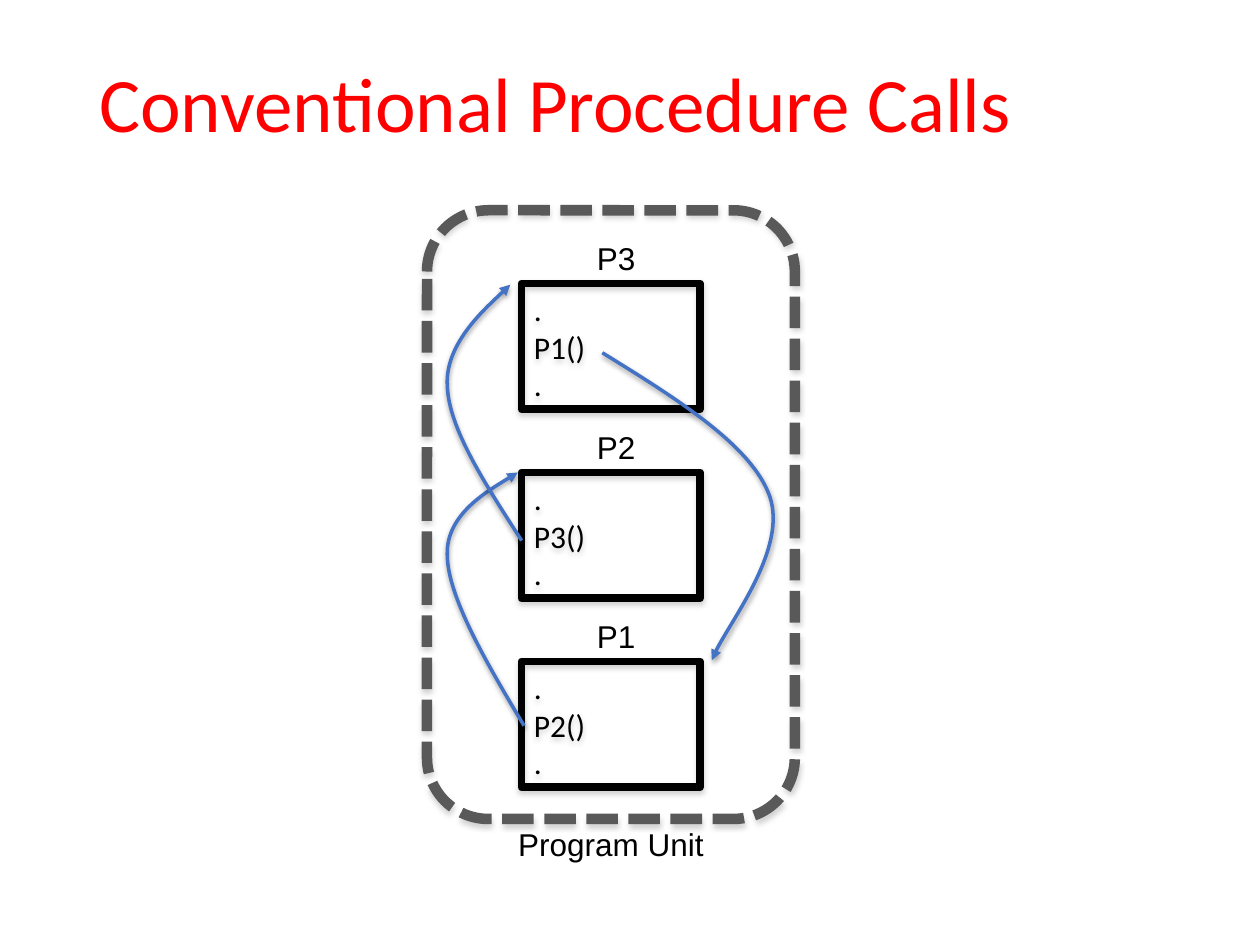
from dataclasses import dataclass

from lxml.etree import SubElement
from pptx import Presentation
from pptx.dml.color import RGBColor
from pptx.enum.dml import MSO_LINE
from pptx.enum.shapes import MSO_SHAPE
from pptx.enum.text import MSO_ANCHOR, MSO_AUTO_SIZE, PP_ALIGN
from pptx.oxml.ns import qn
from pptx.util import Pt

COLORS = {
    "title": "FF0000",
    "text": "000000",
    "unit": "595959",
    "box": "000000",
    "call": "4472C4",
    "box_shadow": "808080",
    "call_shadow": "000000",
}
BOX_LEFT, BOX_TOP, BOX_WIDTH, BOX_HEIGHT, BOX_PITCH = 298, 162, 102, 72, 108
LABEL_LEFT, LABEL_WIDTH, LABEL_HEIGHT = 334, 36.7, 28.8
UNIT_LEFT, UNIT_TOP, UNIT_WIDTH, UNIT_HEIGHT = 244, 120.2, 210.2, 347.8


@dataclass
class Procedure:
    name: str
    callee: str


@dataclass
class Shadow:
    color: str
    opacity: int
    distance: float


PROCEDURES = [Procedure("P3", "P1"), Procedure("P2", "P3"), Procedure("P1", "P2")]
BOX_SHADOW = Shadow("box_shadow", 35, 1.8)
CALL_SHADOW = Shadow("call_shadow", 38, 1.6)

# Each call: a start point, then two Bézier segments of three points
CALLS = [
    [(299.5, 414.7), (277.9, 378.7), (255.6, 340.6), (255.6, 316.8),
     (254.9, 293), (295.9, 270), (295.9, 270)],
    [(298.1, 308.9), (277.2, 276.5), (256.3, 244.8), (255.6, 220.3),
     (254.2, 195.8), (291.6, 162.7), (291.6, 162.7)],
    [(344.2, 201.6), (387.4, 228.2), (429.8, 254.9), (439.9, 283.7),
     (450, 313.2), (411.8, 362.2), (406.8, 377.3)],
]


def rgb(name: str) -> RGBColor:
    return RGBColor.from_string(COLORS[name])


def style_outline(shape, color: str, width: float, shadow: Shadow) -> None:
    """Leave the shape unfilled and give it a line and a soft shadow below."""
    shape.fill.background()
    shape.line.color.rgb = rgb(color)
    shape.line.width = Pt(width)
    shape.shadow.inherit = False
    effects = shape._element.spPr.find(qn("a:effectLst"))
    outer = SubElement(effects, qn("a:outerShdw"), blurRad=str(Pt(3.1)),
                       dist=str(Pt(shadow.distance)), dir="5400000", rotWithShape="0")
    shade = SubElement(outer, qn("a:srgbClr"), val=COLORS[shadow.color])
    SubElement(shade, qn("a:alpha"), val=str(shadow.opacity * 1000))


def write_text(shape, lines: list[str], frame_format: dict, font_name: str = "Arial",
               size: float = 18, color: str = "text", **paragraph_format) -> None:
    frame = shape.text_frame
    for name, value in frame_format.items():
        setattr(frame, name, value)
    frame.text = "\n".join(lines)
    for paragraph in frame.paragraphs:
        for name, value in paragraph_format.items():
            setattr(paragraph, name, value)
        for name, value in {"name": font_name, "size": Pt(size)}.items():
            setattr(paragraph.font, name, value)
        paragraph.font.color.rgb = rgb(color)


def add_text(slide, text: str, left: float, top: float, width: float, height: float,
             frame_format: dict, **text_format) -> None:
    shape = slide.shapes.add_textbox(Pt(left), Pt(top), Pt(width), Pt(height))
    write_text(shape, [text], frame_format, **text_format)


def add_procedure(slide, procedure: Procedure, top: float) -> None:
    box = slide.shapes.add_shape(MSO_SHAPE.RECTANGLE, Pt(BOX_LEFT), Pt(top),
                                 Pt(BOX_WIDTH), Pt(BOX_HEIGHT))
    style_outline(box, "box", 4.5, BOX_SHADOW)
    write_text(box, [".", f"{procedure.callee}()", "."],
               {"vertical_anchor": MSO_ANCHOR.MIDDLE, "word_wrap": True},
               font_name="Calibri", alignment=PP_ALIGN.LEFT)
    add_text(slide, procedure.name, LABEL_LEFT, top - LABEL_HEIGHT, LABEL_WIDTH, LABEL_HEIGHT,
             {"word_wrap": False, "auto_size": MSO_AUTO_SIZE.SHAPE_TO_FIT_TEXT})


def add_call(slide, points: list[tuple[float, float]]) -> None:
    start, *rest = [(Pt(x), Pt(y)) for x, y in points]
    builder = slide.shapes.build_freeform(*start)
    builder.add_line_segments(rest, close=False)
    curve = builder.convert_to_shape()

    # Group the points in threes as cubic segments
    outline = next(curve._element.iter(qn("a:path")))
    segments = outline.findall(qn("a:lnTo"))
    for first in range(0, len(segments), 3):
        cubic = SubElement(outline, qn("a:cubicBezTo"))
        for segment in segments[first:first + 3]:
            cubic.append(segment[0])
            outline.remove(segment)

    style_outline(curve, "call", 2, CALL_SHADOW)
    SubElement(curve._element.spPr.find(qn("a:ln")), qn("a:tailEnd"), type="triangle")


def main() -> None:
    presentation = Presentation()
    presentation.slide_width, presentation.slide_height = Pt(720), Pt(540)
    slide = presentation.slides.add_slide(presentation.slide_layouts[6])

    # Title
    add_text(slide, "Conventional Procedure Calls", 49.7, 28.8, 620.6, 64.8,
             {"word_wrap": True, "vertical_anchor": MSO_ANCHOR.MIDDLE},
             font_name="Calibri", size=44, color="title", line_spacing=0.9)

    # Program unit
    unit = slide.shapes.add_shape(MSO_SHAPE.ROUNDED_RECTANGLE, Pt(UNIT_LEFT), Pt(UNIT_TOP),
                                  Pt(UNIT_WIDTH), Pt(UNIT_HEIGHT))
    style_outline(unit, "unit", 6, BOX_SHADOW)
    unit.line.dash_style = MSO_LINE.SQUARE_DOT
    add_text(slide, "Program Unit", UNIT_LEFT, UNIT_TOP + UNIT_HEIGHT, UNIT_WIDTH, LABEL_HEIGHT,
             {"word_wrap": True, "auto_size": MSO_AUTO_SIZE.SHAPE_TO_FIT_TEXT},
             alignment=PP_ALIGN.CENTER)

    # Procedures, then the calls between them
    for row, procedure in enumerate(PROCEDURES):
        add_procedure(slide, procedure, BOX_TOP + row * BOX_PITCH)
    for points in CALLS:
        add_call(slide, points)

    presentation.save("out.pptx")


if __name__ == "__main__":
    main()
